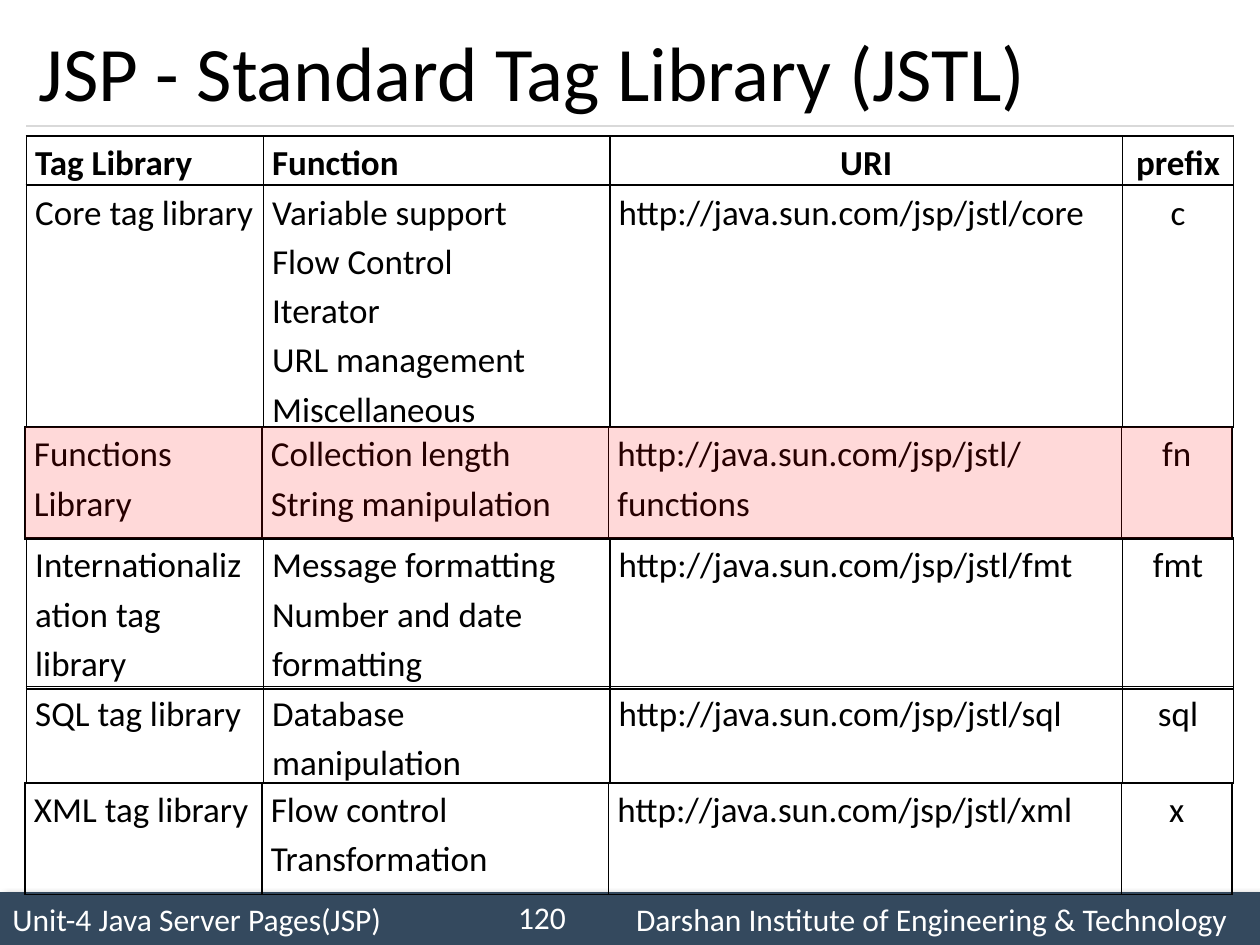
"""Builds the JSTL tag library slide."""
from lxml.etree import SubElement
from pptx import Presentation
from pptx.dml.color import RGBColor
from pptx.enum.shapes import MSO_CONNECTOR, MSO_SHAPE
from pptx.enum.text import MSO_ANCHOR, PP_ALIGN
from pptx.oxml.ns import qn
from pptx.util import Inches, Pt

BLACK = RGBColor(0x00, 0x00, 0x00)
WHITE = RGBColor(0xFF, 0xFF, 0xFF)
SLATE = RGBColor(0x34, 0x49, 0x5E)
SILVER = RGBColor(0xD9, 0xD9, 0xD9)
RED = RGBColor(0xFF, 0x00, 0x00)

COLUMNS = (1.88, 2.75, 4.07, 0.88)
URI_BASE = "http://java.sun.com/jsp/jstl/"
LIBRARIES = (
    (0.21, 1.47, 1.89, "Core tag library",
     "Variable support\nFlow Control\nIterator\nURL management\nMiscellaneous", "core", "c"),
    (0.2, 6.21, 0.89, "XML tag library", "Flow control\nTransformation", "xml", "x"),
    (0.21, 4.27, 1.2, "Internationalization tag library",
     "Message formatting\nNumber and date formatting", "fmt", "fmt"),
    (0.21, 5.45, 0.75, "SQL tag library", "Database manipulation", "sql", "sql"),
    (0.2, 3.39, 0.89, "Functions Library",
     "Collection length\nString manipulation", "functions", "fn"),
)


class SlideBuilder:
    """Holds the style and the current slide."""

    def __init__(self, slide, font_name="Calibri"):
        self.slide = slide
        self.font_name = font_name

    def format_text(self, text_frame, size, color, align=PP_ALIGN.LEFT, bold=False, spacing=None):
        for paragraph in text_frame.paragraphs:
            paragraph.alignment = align
            paragraph.line_spacing = spacing
            for run in paragraph.runs:
                run.font.name = self.font_name
                run.font.size = Pt(size)
                run.font.bold = bold
                run.font.color.rgb = color

    def text(self, left, top, width, height, text, size, color, align=PP_ALIGN.LEFT):
        shape = self.slide.shapes.add_textbox(
            Inches(left), Inches(top), Inches(width), Inches(height))
        text_frame = shape.text_frame
        text_frame.word_wrap = True
        text_frame.vertical_anchor = MSO_ANCHOR.MIDDLE
        text_frame.text = text
        self.format_text(text_frame, size, color, align)

    def rectangle(self, left, top, width, height, color, opacity=None):
        shape = self.slide.shapes.add_shape(
            MSO_SHAPE.RECTANGLE, Inches(left), Inches(top), Inches(width), Inches(height))
        shape.shadow.inherit = False
        shape.line.fill.background()
        shape.fill.solid()
        shape.fill.fore_color.rgb = color
        if opacity is not None:
            color_element = next(shape.fill._xPr.iter(qn("a:srgbClr")))
            SubElement(color_element, qn("a:alpha"), val=str(opacity * 1000))
        return shape

    def footer(self, top, height, unit, institute, tab):
        shape = self.rectangle(0, top, 10, height, SLATE)
        effects = shape._element.spPr.find(qn("a:effectLst"))
        shadow = SubElement(effects, qn("a:outerShdw"), blurRad=str(Pt(4)), dist=str(Pt(3)),
                            dir="2700000", algn="tl", rotWithShape="0")
        color_element = SubElement(shadow, qn("a:srgbClr"), val=str(BLACK))
        SubElement(color_element, qn("a:alpha"), val="40000")
        text_frame = shape.text_frame
        text_frame.vertical_anchor = MSO_ANCHOR.MIDDLE
        text_frame.text = f"{unit}\t{institute}"
        properties = text_frame.paragraphs[0]._p.get_or_add_pPr()
        tabs = SubElement(properties, qn("a:tabLst"))
        SubElement(tabs, qn("a:tab"), pos=str(Inches(tab)), algn="l")
        self.format_text(text_frame, 18, WHITE)

    def rule(self, left, right, top):
        connector = self.slide.shapes.add_connector(
            MSO_CONNECTOR.STRAIGHT, Inches(left), Inches(top), Inches(right), Inches(top))
        connector.line.color.rgb = SILVER
        connector.line.width = Pt(0.75)
        SubElement(connector._element.spPr, qn("a:effectLst"))

    def border(self, cell):
        properties = cell._tc.get_or_add_tcPr()
        for side in ("a:lnL", "a:lnR", "a:lnT", "a:lnB"):
            line = SubElement(properties, qn(side), w=str(Pt(1)))
            fill = SubElement(line, qn("a:solidFill"))
            SubElement(fill, qn("a:srgbClr"), val=str(BLACK))

    def table_row(self, left, top, height, texts, aligns, bold=False):
        table = self.slide.shapes.add_table(
            1, len(COLUMNS), Inches(left), Inches(top),
            Inches(sum(COLUMNS)), Inches(height)).table
        table.first_row = table.horz_banding = False
        for column, width in zip(table.columns, COLUMNS):
            column.width = Inches(width)
        for cell, text, align in zip(table.rows[0].cells, texts, aligns):
            cell.margin_left = cell.margin_right = Inches(0.07)
            cell.margin_top = cell.margin_bottom = 0
            self.border(cell)
            cell.fill.background()
            cell.text_frame.text = text
            self.format_text(cell.text_frame, 20, BLACK, align, bold, spacing=1.15)


def main():
    presentation = Presentation()
    presentation.slide_width = Inches(10)
    presentation.slide_height = Inches(7.5)
    builder = SlideBuilder(presentation.slides.add_slide(presentation.slide_layouts[6]))
    left, center = PP_ALIGN.LEFT, PP_ALIGN.CENTER

    builder.footer(7.08, 0.42, "Unit-4 Java Server Pages(JSP)",
                   "Darshan Institute of Engineering & Technology", 4.95)
    builder.rule(0.21, 9.79, 1)
    builder.text(0.21, 0.12, 9.58, 0.88, "JSP - Standard Tag Library (JSTL)", 44, BLACK)
    builder.table_row(0.21, 1.08, 0.38, ("Tag Library", "Function", "URI", "prefix"),
                      (left, left, center, center), bold=True)
    builder.text(3.92, 7.08, 0.67, 0.4, "120", 18, WHITE, PP_ALIGN.RIGHT)
    for row_left, top, height, library, functions, uri_end, prefix in LIBRARIES:
        builder.table_row(row_left, top, height,
                          (library, functions, URI_BASE + uri_end, prefix),
                          (left, left, left, center))
    builder.rectangle(0.2, 3.39, 9.58, 0.88, RED, opacity=15)
    presentation.save("out.pptx")


if __name__ == "__main__":
    main()
